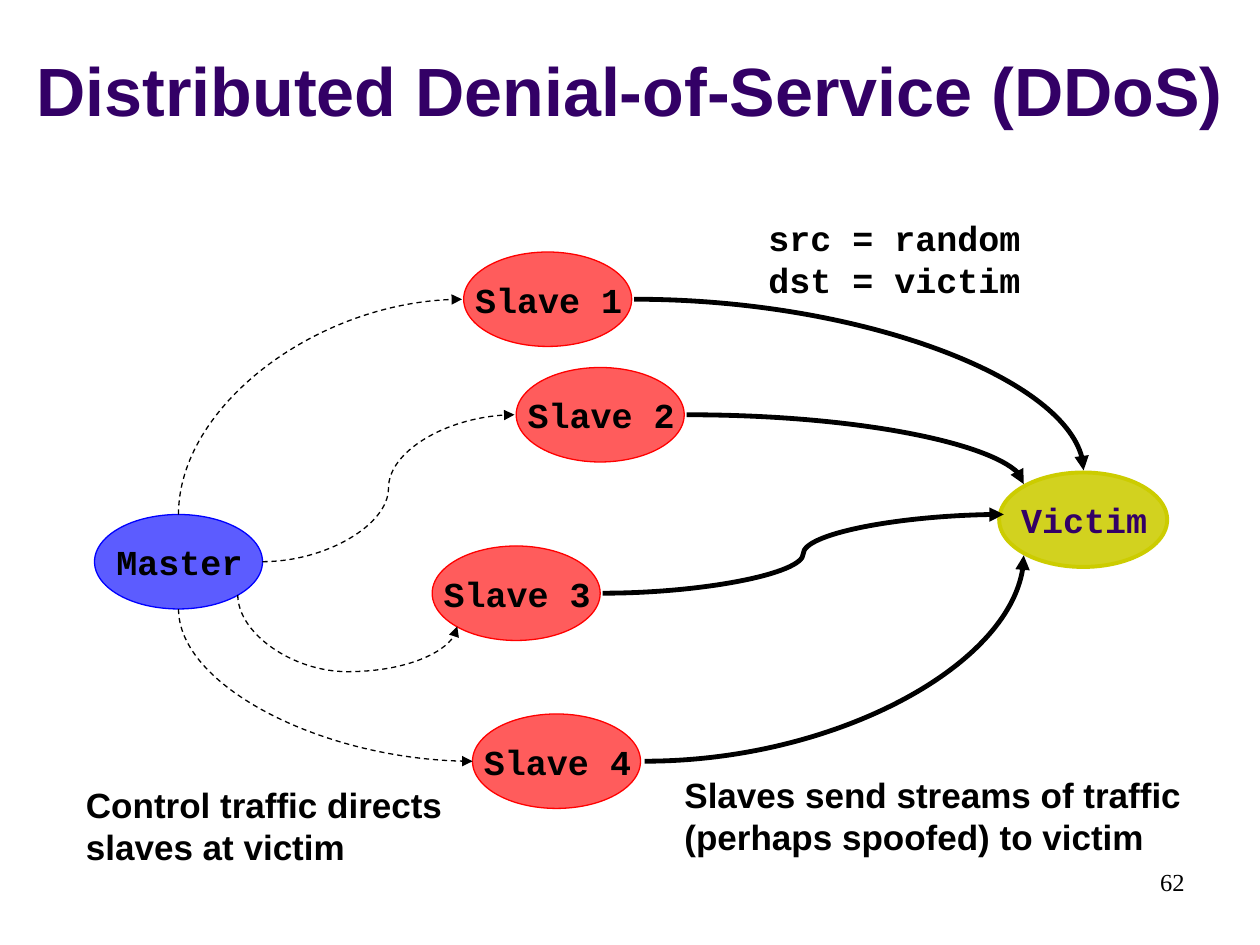
from lxml.etree import SubElement
from pptx import Presentation
from pptx.dml.color import RGBColor
from pptx.enum.dml import MSO_LINE
from pptx.enum.shapes import MSO_CONNECTOR, MSO_SHAPE
from pptx.enum.text import MSO_ANCHOR, MSO_AUTO_SIZE, PP_ALIGN
from pptx.oxml.ns import qn
from pptx.util import Inches, Pt

COLORS = {
    "title": "330066",
    "ink": "000000",
    "master": "0000FF",
    "slave": "FF0000",
    "victim": "CCCC00",
}
COLUMNS, ROWS = 120, 90
NODE_WIDTH, NODE_HEIGHT = 16, 9
LABEL_HEIGHT = 5.16


class Diagram:
    def __init__(self, deck):
        self.page = deck.slides.add_slide(deck.slide_layouts[6])
        self.column = deck.slide_width / COLUMNS
        self.row = deck.slide_height / ROWS

    def x(self, columns):
        return round(columns * self.column)

    def y(self, rows):
        return round(rows * self.row)

    def area(self, left, top, width, height):
        return self.x(left), self.y(top), self.x(width), self.y(height)

    def text(self, words, area, size=20, face="Arial", color="ink", bold=True,
             align=PP_ALIGN.LEFT, anchor=MSO_ANCHOR.MIDDLE, wrap=True):
        box = self.page.shapes.add_textbox(*self.area(*area))
        frame = box.text_frame
        frame.word_wrap = wrap
        frame.vertical_anchor = anchor
        frame.auto_size = MSO_AUTO_SIZE.NONE
        para = frame.paragraphs[0]
        para.text = words
        para.alignment = align
        para.font.size = Pt(size)
        para.font.name = face
        para.font.bold = bold
        para.font.color.rgb = RGBColor.from_string(COLORS[color])

    def code(self, words, area, color="ink"):
        self.text(words, area, face="Courier New", color=color,
                  align=PP_ALIGN.CENTER, wrap=False)

    def node(self, name, left, top, fill, opacity=64, weight=0.75, color="ink"):
        oval = self.page.shapes.add_shape(
            MSO_SHAPE.OVAL, *self.area(left, top, NODE_WIDTH, NODE_HEIGHT))
        oval.shadow.inherit = False
        shade = RGBColor.from_string(COLORS[fill])
        oval.fill.solid()
        oval.fill.fore_color.rgb = shade
        oval.line.color.rgb = shade
        oval.line.width = Pt(weight)
        tint = oval.fill._xPr.find(qn("a:solidFill"))[0]
        SubElement(tint, qn("a:alpha"), val=str(opacity * 1000))
        width = 2 * len(name) + 2.4
        self.code(name, (left + (NODE_WIDTH - width) / 2 + 0.1,
                         top + (NODE_HEIGHT - LABEL_HEIGHT) / 2,
                         width, LABEL_HEIGHT), color)

    def arrow(self, start, end, upright=False, bend=None, weight=2.75, dashed=False):
        (x1, y1), (x2, y2) = start, end
        if upright:
            middle_x, middle_y = (x1 + x2) / 2, (y1 + y2) / 2
            half_x, half_y = (x2 - x1) / 2, (y2 - y1) / 2
            x1, x2 = middle_x + half_y, middle_x - half_y
            y1, y2 = middle_y - half_x, middle_y + half_x
        curve = self.page.shapes.add_connector(
            MSO_CONNECTOR.CURVE, self.x(x1), self.y(y1), self.x(x2), self.y(y2))
        curve.line.color.rgb = RGBColor.from_string(COLORS["ink"])
        curve.line.width = Pt(weight)
        if dashed:
            curve.line.dash_style = MSO_LINE.DASH
        properties = curve._element.spPr
        if upright:
            properties.find(qn("a:xfrm")).set("rot", str(270 * 60000))
        geometry = properties.find(qn("a:prstGeom"))
        if bend is None:
            geometry.set("prst", "curvedConnector2")
        else:
            guides = geometry.find(qn("a:avLst"))
            SubElement(guides, qn("a:gd"), name="adj1",
                       fmla=f"val {round(bend * 100000)}")
        SubElement(properties.find(qn("a:ln")), qn("a:tailEnd"), type="triangle")
        SubElement(properties, qn("a:effectLst"))


deck = Presentation()
deck.slide_width, deck.slide_height = Inches(10), Inches(7.5)
diagram = Diagram(deck)

diagram.text("Distributed Denial-of-Service (DDoS)", (0, 1.6, 120, 11.4), size=39,
             color="title", align=PP_ALIGN.CENTER, anchor=MSO_ANCHOR.BOTTOM)
diagram.text("62", (86, 82, 28, 6), size=14, face="Times New Roman", bold=False,
             align=PP_ALIGN.RIGHT, anchor=MSO_ANCHOR.TOP)

diagram.node("Master", 9, 49, "master")
slaves = [(44.16, 24), (49.16, 35), (41.16, 52), (45, 68)]
for number, (left, top) in enumerate(slaves, 1):
    diagram.node(f"Slave {number}", left, top, "slave")
diagram.node("Victim", 95.16, 45, "victim", opacity=88, weight=2.25, color="title")

control_traffic = [
    ((17, 49), (44, 28.5), True, None),
    ((25, 53.5), (49, 39.5), False, 0.5),
    ((22.65, 56.65), (43.55, 59.65), True, 2.44),
    ((17, 58), (45, 72.5), True, None),
]
for start, end, upright, bend in control_traffic:
    diagram.arrow(start, end, upright, bend, weight=0.75, dashed=True)

attack_streams = [
    ((60.4, 28.5), (103.2, 44.8), None),
    ((65.4, 39.5), (97.5, 46.1), None),
    ((57.4, 56.5), (95.6, 49), 0.5),
    ((61.4, 72.5), (97.5, 52.9), None),
]
for start, end, bend in attack_streams:
    diagram.arrow(start, end, bend=bend)

diagram.text("Control traffic directs slaves at victim", (7, 74, 38, 9.3))
diagram.code("src = random\ndst = victim", (72, 20, 26.4, 9.3))
diagram.text("Slaves send streams of traffic (perhaps spoofed) to victim",
             (64, 73, 51, 9.3))

deck.save("out.pptx")
